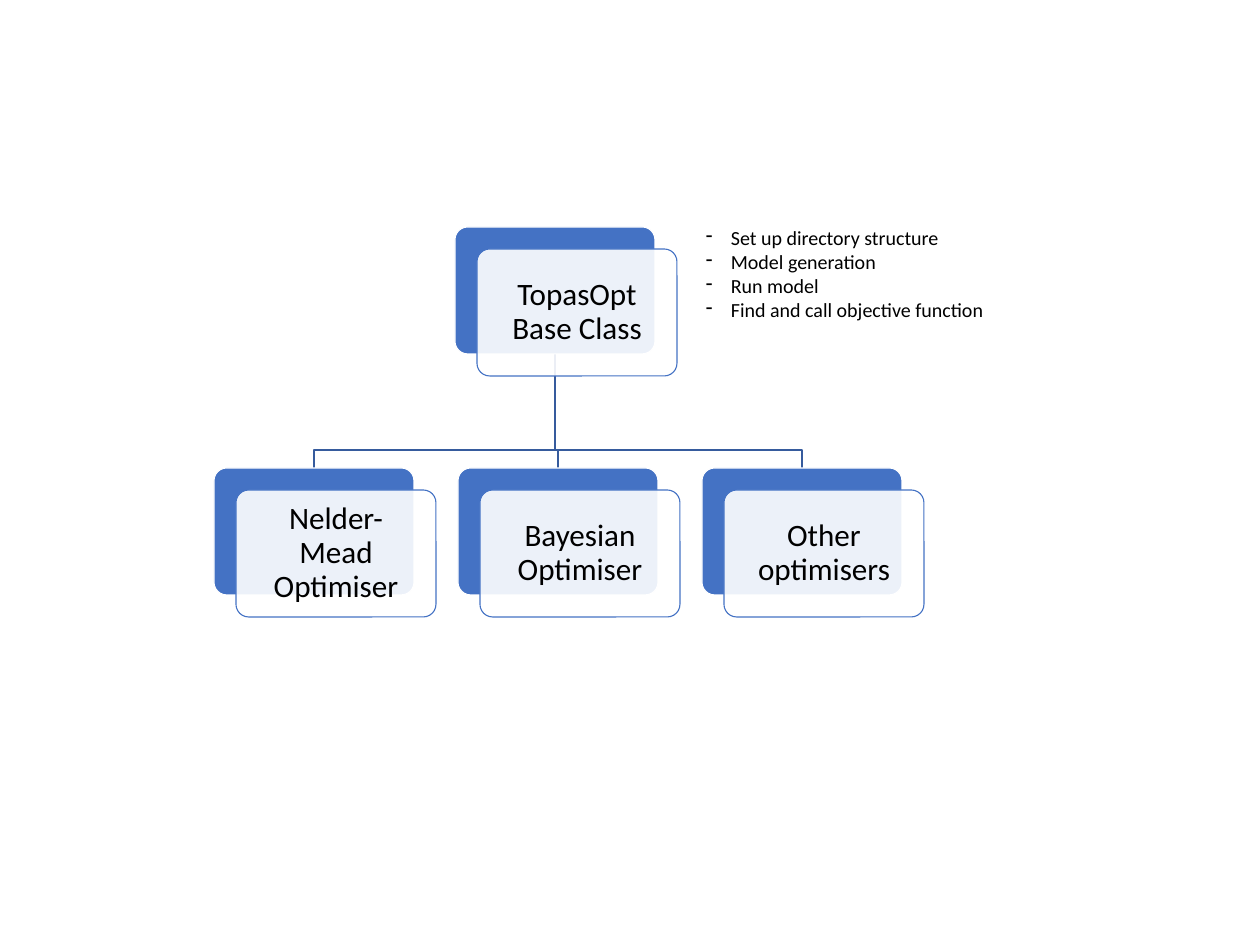
import pptx
import pptx.util
import pptx.dml.color
import pptx.enum.shapes
import pptx.enum.text
import pptx.oxml
import pptx.oxml.ns
import lxml.etree

PX = 11430
BLUE = pptx.dml.color.RGBColor(0x44, 0x72, 0xC4)
LINK_BLUE = pptx.dml.color.RGBColor(0x36, 0x5B, 0x9D)
WHITE = pptx.dml.color.RGBColor(0xFF, 0xFF, 0xFF)
BLACK = pptx.dml.color.RGBColor(0, 0, 0)
FONT = "Calibri"
CARD_W, CARD_H = 200, 127
PANEL_SHIFT = 22
ROOT_X, ROOT_Y = 455, 227
CHILD_X, CHILD_Y, CHILD_PITCH = 214, 468, 244
BUS_Y = 450
CHILDREN = ["Nelder-Mead Optimiser", "Bayesian Optimiser", "Other optimisers"]
TASKS = [
    "Set up directory structure",
    "Model generation",
    "Run model",
    "Find and call objective function",
]


def px(*lengths):
    return [pptx.util.Emu(n * PX) for n in lengths]


def style_text(p, size):
    for r in p.runs:
        r.font.name = FONT
        r.font.size = pptx.util.Pt(size)
        r.font.color.rgb = BLACK


def add_round_box(s, x, y, fill, line):
    kind = pptx.enum.shapes.MSO_SHAPE.ROUNDED_RECTANGLE
    sp = s.shapes.add_shape(kind, *px(x, y, CARD_W, CARD_H))
    sp.adjustments[0] = 0.1
    sp.shadow.inherit = False
    sp.fill.solid()
    sp.fill.fore_color.rgb = fill
    sp.line.color.rgb = line
    sp.line.width = pptx.util.Pt(1)
    return sp


def set_opacity(sp, percent):
    color = sp.fill._xPr.find(".//" + pptx.oxml.ns.qn("a:srgbClr"))
    alpha = lxml.etree.SubElement(color, pptx.oxml.ns.qn("a:alpha"))
    alpha.set("val", str(percent * 1000))


def add_card(s, x, y, label):
    add_round_box(s, x, y, BLUE, WHITE)
    panel = add_round_box(s, x + PANEL_SHIFT, y + PANEL_SHIFT, WHITE, BLUE)
    set_opacity(panel, 90)
    tf = panel.text_frame
    tf.word_wrap = True
    tf.vertical_anchor = pptx.enum.text.MSO_ANCHOR.MIDDLE
    tf.margin_left, tf.margin_right, tf.margin_top, tf.margin_bottom = px(13, 13, 13, 13)
    tf.text = label
    p = tf.paragraphs[0]
    p.alignment = pptx.enum.text.PP_ALIGN.CENTER
    p.line_spacing = 0.9
    style_text(p, 28)


def add_link(s, child_x):
    start_x, end_x = ROOT_X + CARD_W // 2, child_x + CARD_W // 2
    builder = s.shapes.build_freeform(start_x, ROOT_Y + CARD_H, scale=PX)
    builder.add_line_segments(
        [(start_x, BUS_Y), (end_x, BUS_Y), (end_x, CHILD_Y)], close=False
    )
    sp = builder.convert_to_shape()
    sp.shadow.inherit = False
    sp.fill.background()
    sp.line.color.rgb = LINK_BLUE
    sp.line.width = pptx.util.Pt(1)


def add_dash_list(s, x, y, w, h, items):
    tf = s.shapes.add_textbox(*px(x, y, w, h)).text_frame
    tf.word_wrap = True
    tf.text = "\n".join(items)
    indent = px(25)[0]
    for p in tf.paragraphs:
        pPr = p._p.get_or_add_pPr()
        pPr.set("marL", str(indent))
        pPr.set("indent", str(-indent))
        bullet = lxml.etree.SubElement(pPr, pptx.oxml.ns.qn("a:buChar"))
        bullet.set("char", "-")
        style_text(p, 18)


def main():
    prs = pptx.Presentation()
    prs.slide_width, prs.slide_height = px(1260, 945)
    s = prs.slides.add_slide(prs.slide_layouts[6])
    child_xs = [CHILD_X + i * CHILD_PITCH for i in range(len(CHILDREN))]
    for x in reversed(child_xs):
        add_link(s, x)
    add_card(s, ROOT_X, ROOT_Y, "TopasOpt Base Class")
    for x, label in zip(child_xs, CHILDREN):
        add_card(s, x, CHILD_Y, label)
    add_dash_list(s, 698, 222, 312, 130, TASKS)
    prs.save("out.pptx")


main()
